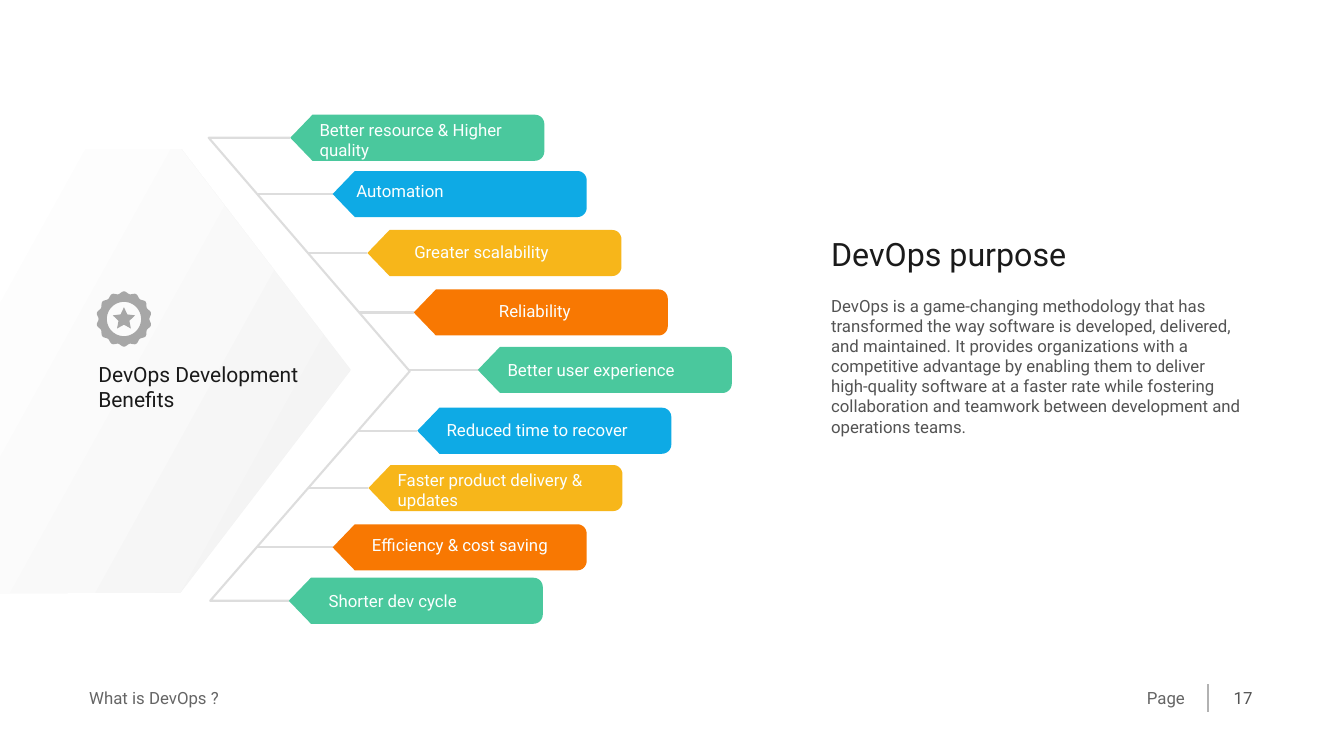
from itertools import cycle
from math import cos, pi, sin
from typing import NamedTuple

from lxml.etree import SubElement
from pptx import Presentation
from pptx.dml.color import RGBColor
from pptx.enum.text import MSO_ANCHOR, MSO_AUTO_SIZE, PP_ALIGN
from pptx.oxml.ns import qn
from pptx.util import Emu, Inches, Pt

COLUMNS, ROWS = 80, 45
CELL = Inches(1) // 3
FONT = "Roboto"
COLORS = {
    "teal": "4AC89D", "blue": "0EAAE5", "yellow": "F7B61A", "orange": "F87802",
    "rib": "DDDDDD", "divider": "B2B2B2", "badge": "A7A7A7",
    "panel_dark": "F2F2F2", "panel_light": "FFFFFF",
    "heading": "1A1A1A", "body": "535353", "footer": "656565", "label": "FCFFFF",
}
TAG_COLORS = ("teal", "blue", "yellow", "orange")
TAG_WIDTH, TAG_HEIGHT, TAG_POINT, TAG_RADIUS = 15.12, 2.74, 1.32, 0.55

Point = tuple[float, float]


class Box(NamedTuple):
    column: float
    row: float
    columns: float
    rows: float


class Benefit(NamedTuple):
    label: str
    tip: Point
    indent: float  # columns from the tip to the label
    rise: float    # rows from the tip up to the label


BENEFITS = (
    Benefit("Better resource & Higher quality", (17.28, 8.2), 1.56, 1.27),
    Benefit("Automation", (19.8, 11.55), 1.23, 0.96),
    Benefit("Greater scalability", (21.87, 15.06), 2.61, 0.84),
    Benefit("Reliability", (24.63, 18.6), 4.89, 0.9),
    Benefit("Better user experience", (28.44, 22.02), 1.59, 0.78),
    Benefit("Reduced time to recover", (24.84, 25.64), 1.56, 0.83),
    Benefit("Faster product delivery & updates", (21.93, 29.05), 1.56, 1.27),
    Benefit("Efficiency & cost saving", (19.8, 32.58), 2.16, 0.96),
    Benefit("Shorter dev cycle", (17.19, 35.76), 2.19, 0.78),
)
SPINE_TOP, SPINE_TIP, SPINE_BOTTOM = (12.42, 8.2), (24.39, 22.1), (12.51, 35.76)
PANEL = ((0, 8.88), (10.8, 8.88), (20.88, 22.02), (10.74, 35.28), (0, 35.31))


def cells(count: float) -> Emu:
    return Emu(round(count * CELL))


def rgb(name: str) -> RGBColor:
    return RGBColor.from_string(COLORS[name])


def arc(center: Point, radius: float, start: float, end: float, steps: int) -> list[Point]:
    angles = [start + (end - start) * i / steps for i in range(steps + 1)]
    return [(center[0] + radius * cos(a), center[1] + radius * sin(a)) for a in angles]


def draw_outline(slide, *contours, closed: bool = True):
    paths = [[(cells(x), cells(y)) for x, y in contour] for contour in contours]
    builder = slide.shapes.build_freeform(*paths[0][0], scale=1.0)
    for index, points in enumerate(paths):
        if index:
            builder.move_to(*points[0])
        builder.add_line_segments(points[1:], close=closed)
    outline = builder.convert_to_shape()
    outline.shadow.inherit = False
    return outline


def draw_filled(slide, color: str, *contours) -> None:
    outline = draw_outline(slide, *contours)
    outline.fill.solid()
    outline.fill.fore_color.rgb = rgb(color)
    outline.line.fill.background()


def draw_line(slide, start: Point, end: Point, color: str, width: float) -> None:
    line = slide.shapes.add_connector(1, *map(cells, start + end))
    line.line.color.rgb = rgb(color)
    line.line.width = Pt(width)
    SubElement(line._element.spPr, qn("a:effectLst"))


def write(shape, box: Box, text: str, size: float, color: str,
          align=PP_ALIGN.LEFT, anchor=MSO_ANCHOR.TOP) -> None:
    shape.left, shape.top, shape.width, shape.height = map(cells, box)
    frame = shape.text_frame
    frame.text = text
    frame.word_wrap = True
    frame.auto_size = MSO_AUTO_SIZE.NONE
    frame.vertical_anchor = anchor
    frame.margin_left = frame.margin_right = Inches(0.06)
    frame.margin_top = frame.margin_bottom = Inches(0.06)
    paragraph = frame.paragraphs[0]
    paragraph.alignment = align
    paragraph.space_before = Pt(0)
    font = paragraph.runs[0].font
    font.name, font.size, font.color.rgb = FONT, Pt(size), rgb(color)


def add_text(slide, box: Box, *args, **options) -> None:
    write(slide.shapes.add_textbox(0, 0, 0, 0), box, *args, **options)


def spine_column(row: float) -> float:
    """Column where the spine crosses the given row."""
    end = SPINE_TOP if row < SPINE_TIP[1] else SPINE_BOTTOM
    share = (row - end[1]) / (SPINE_TIP[1] - end[1])
    return end[0] + share * (SPINE_TIP[0] - end[0])


def draw_skeleton(slide) -> None:
    first, last = BENEFITS[0].tip, BENEFITS[-1].tip
    spine = draw_outline(slide, (first, SPINE_TOP, SPINE_TIP, SPINE_BOTTOM, last), closed=False)
    spine.fill.background()
    spine.line.color.rgb = rgb("rib")
    spine.line.width = Pt(3)
    for benefit in BENEFITS[1:-1]:
        row = benefit.tip[1]
        draw_line(slide, (spine_column(row), row), benefit.tip, "rib", 3)


def draw_panel(slide) -> None:
    panel = draw_outline(slide, PANEL)
    panel.line.fill.background()
    panel.fill.gradient()
    panel.fill.gradient_angle = 151
    for stop, color in zip(panel.fill.gradient_stops, ("panel_dark", "panel_light")):
        stop.color.rgb = rgb(color)


def draw_badge(slide, center: Point) -> None:
    teeth, steps = 14, 112
    x, y = center
    turns = [2 * pi * i / steps - pi / 2 for i in range(steps)]
    radii = [1.58 + 0.07 * cos(teeth * (a + pi / 2)) for a in turns]
    gear = [(x + r * cos(a), y + r * sin(a)) for a, r in zip(turns, radii)]
    hole = arc(center, 1.02, 2 * pi, 0, 48)
    star = [(x + r * cos(a), y + r * sin(a))
            for i, r in zip(range(10), cycle((0.7, 0.34)))
            for a in [i * pi / 5 - pi / 2]]
    draw_filled(slide, "badge", gear, hole, star)


def draw_tag(slide, benefit: Benefit, color: str) -> None:
    x, y = benefit.tip
    top, bottom, right = y - TAG_HEIGHT / 2, y + TAG_HEIGHT / 2, x + TAG_WIDTH
    r = TAG_RADIUS
    outline = [benefit.tip, (x + TAG_POINT, top),
               *arc((right - r, top + r), r, -pi / 2, 0, 8),
               *arc((right - r, bottom - r), r, 0, pi / 2, 8),
               (x + TAG_POINT, bottom)]
    draw_filled(slide, color, outline)
    label_box = Box(x + benefit.indent, y - benefit.rise, 14.04, 1.56)
    add_text(slide, label_box, benefit.label, 24, "label")


def main() -> None:
    deck = Presentation()
    deck.slide_width, deck.slide_height = cells(COLUMNS), cells(ROWS)
    slide = deck.slides.add_slide(deck.slide_layouts[1])
    title, body = slide.placeholders

    write(title, Box(49.29, 13.77, 20.67, 2.67), "DevOps purpose", 46, "heading")
    write(body, Box(49.29, 17.4, 24.72, 11.25),
          "DevOps is a game-changing methodology that has transformed the way software is "
          "developed, delivered, and maintained. It provides organizations with a competitive "
          "advantage by enabling them to deliver high-quality software at a faster rate while "
          "fostering collaboration and teamwork between development and operations teams.",
          24, "body")
    properties = body.text_frame.paragraphs[0]._p.get_or_add_pPr()
    properties.set("marL", "0")
    properties.set("indent", "0")
    SubElement(properties, qn("a:buNone"))

    draw_skeleton(slide)
    draw_panel(slide)
    draw_badge(slide, (7.38, 18.99))
    add_text(slide, Box(5.67, 21.33, 13.47, 3.36), "DevOps Development Benefits", 30,
             "heading", anchor=MSO_ANCHOR.MIDDLE)
    for benefit, color in zip(BENEFITS, cycle(TAG_COLORS)):
        draw_tag(slide, benefit, color)

    add_text(slide, Box(5.13, 40.74, 9.15, 1.56), "What is DevOps ?", 24, "footer")
    add_text(slide, Box(57.57, 40.74, 13.14, 1.56), "Page", 24, "footer", align=PP_ALIGN.RIGHT)
    draw_line(slide, (71.91, 40.74), (71.91, 42.36), "divider", 2)
    add_text(slide, Box(72.39, 40.74, 3.21, 1.62), "17", 24, "body", align=PP_ALIGN.CENTER)
    deck.save("out.pptx")


if __name__ == "__main__":
    main()
